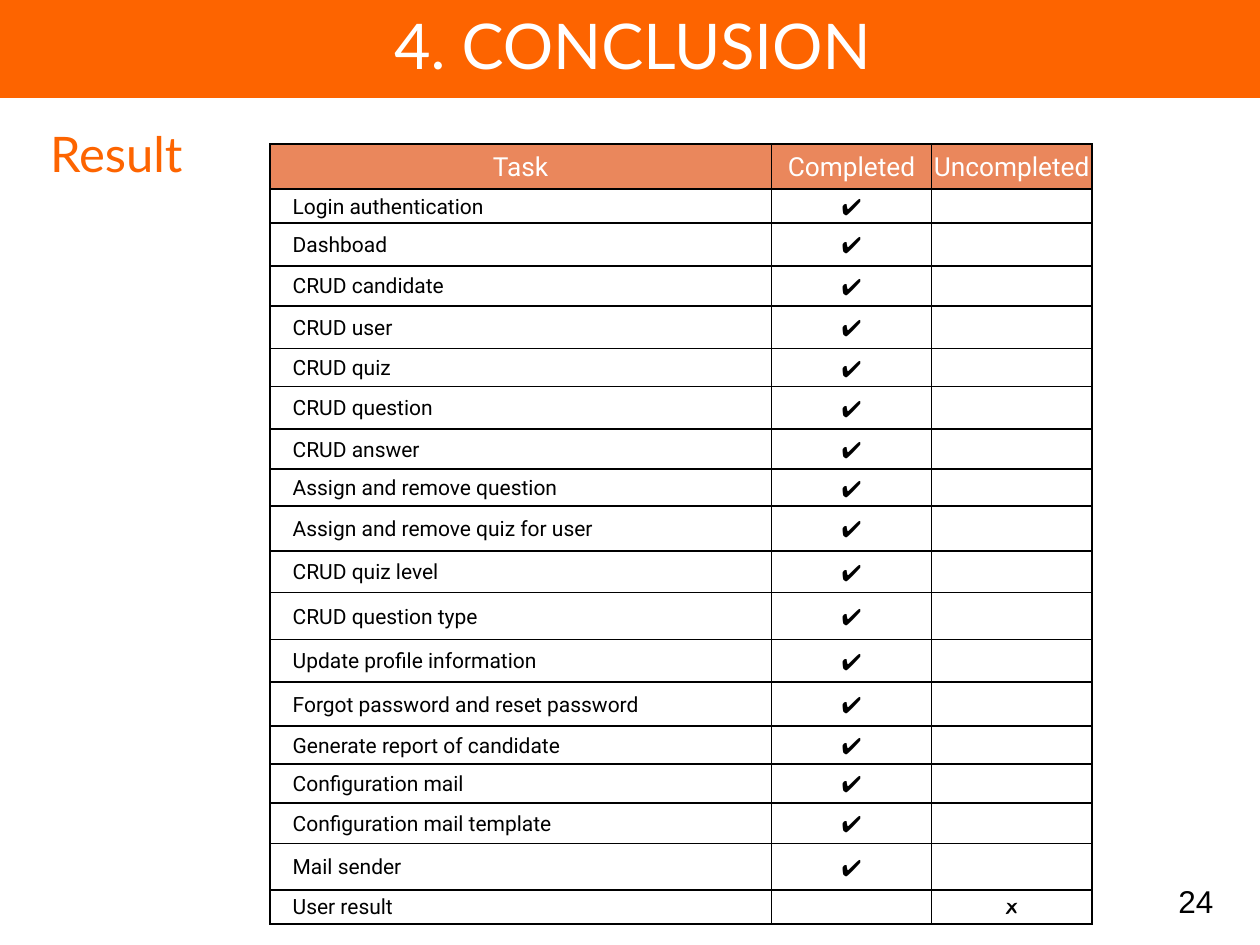
from dataclasses import dataclass

from lxml.etree import SubElement
from pptx import Presentation
from pptx.dml.color import RGBColor
from pptx.enum.shapes import MSO_SHAPE
from pptx.enum.text import MSO_ANCHOR, MSO_AUTO_SIZE, PP_ALIGN
from pptx.oxml import parse_xml
from pptx.oxml.ns import nsdecls, qn
from pptx.util import Cm, Pt


@dataclass(frozen=True)
class Theme:
    orange: str = "FD6400"
    salmon: str = "EA875C"
    white: str = "FFFFFF"
    black: str = "000000"
    head: str = "Lato"
    body: str = "Roboto"
    mark: str = "Noto Sans"
    number: str = "Arial"
    title_size: int = 36
    section_size: int = 28
    number_size: int = 18
    header_size: int = 15
    task_size: int = 12
    mark_size: int = 13


YES, NO = "✔", "🗶"
HEADER = ("Task", "Completed", "Uncompleted")
COLS = (10.11, 3.23, 3.23)
HEADER_HEIGHT = 0.91
# Task, row height in cm
TASKS = (
    ("Login authentication", 0.69),
    ("Dashboad", 0.86),
    ("CRUD candidate", 0.81),
    ("CRUD user", 0.86),
    ("CRUD quiz", 0.76),
    ("CRUD question", 0.86),
    ("CRUD answer", 0.81),
    ("Assign and remove question", 0.74),
    ("Assign and remove quiz for user", 0.91),
    ("CRUD quiz level", 0.84),
    ("CRUD question type", 0.94),
    ("Update profile information", 0.86),
    ("Forgot password and reset password", 0.89),
    ("Generate report of candidate", 0.76),
    ("Configuration mail", 0.79),
    ("Configuration mail template", 0.81),
    ("Mail sender", 0.94),
    ("User result", 0.69),
)
OPEN_TASKS = {"User result"}


def write(frame, text, font, size, color, align=PP_ALIGN.LEFT, spacing=None):
    """Fill a text frame; an empty text still fixes the line height."""
    para = frame.paragraphs[0]
    para.alignment = align
    if spacing:
        para.line_spacing = spacing
    if not text:
        SubElement(para._p, qn("a:endParaRPr"), sz=str(size * 100))
        return
    run = para.add_run()
    run.text = text
    run.font.name = font
    run.font.size = Pt(size)
    run.font.color.rgb = RGBColor.from_string(color)


def paint(fill, color):
    fill.solid()
    fill.fore_color.rgb = RGBColor.from_string(color)


def border(cell, color):
    """Draw a 1 pt line on all four sides, ahead of the fill in the XML."""
    props = cell._tc.get_or_add_tcPr()
    for spot, side in enumerate(("lnL", "lnR", "lnT", "lnB")):
        props.insert(spot, parse_xml(
            f'<a:{side} {nsdecls("a")} w="12700"><a:solidFill>'
            f'<a:srgbClr val="{color}"/></a:solidFill></a:{side}>'))


class Deck:
    def __init__(self, theme):
        self.theme = theme
        self.file = Presentation()
        self.file.slide_width, self.file.slide_height = Cm(25.4), Cm(19.05)
        self.slide = self.file.slides.add_slide(self.file.slide_layouts[5])

    def band(self, box, color):
        shape = self.slide.shapes.add_shape(MSO_SHAPE.RECTANGLE, *map(Cm, box))
        shape.shadow.inherit = False
        paint(shape.fill, color)
        paint(shape.line.fill, color)
        shape.line.width = Pt(1)
        # Behind the title, after the two property elements of the tree
        self.slide.shapes._spTree.insert(2, shape._element)

    def title(self, text, box):
        shape = self.slide.shapes.title
        shape.left, shape.top, shape.width, shape.height = map(Cm, box)
        frame = shape.text_frame
        frame.auto_size = MSO_AUTO_SIZE.NONE
        frame.vertical_anchor = MSO_ANCHOR.MIDDLE
        write(frame, text, self.theme.head, self.theme.title_size,
              self.theme.white, align=PP_ALIGN.CENTER, spacing=0.9)

    def label(self, text, box, anchor=MSO_ANCHOR.TOP, **style):
        frame = self.slide.shapes.add_textbox(*map(Cm, box)).text_frame
        frame.word_wrap = True
        frame.vertical_anchor = anchor
        write(frame, text, **style)

    def cell(self, cell, text, fill, indent=0.03, **style):
        cell.margin_left = Cm(indent)
        cell.margin_right = cell.margin_top = Cm(0.03)
        cell.margin_bottom = 0
        cell.vertical_anchor = MSO_ANCHOR.MIDDLE
        paint(cell.fill, fill)
        border(cell, self.theme.black)
        write(cell.text_frame, text, **style)

    def table(self, left, top):
        look = self.theme
        heights = (HEADER_HEIGHT, *(height for _, height in TASKS))
        grid = self.slide.shapes.add_table(
            len(heights), len(COLS), Cm(left), Cm(top),
            Cm(sum(COLS)), Cm(sum(heights))).table
        grid.horz_banding = False
        for col, width in zip(grid.columns, COLS):
            col.width = Cm(width)
        for row, height in zip(grid.rows, heights):
            row.height = Cm(height)

        head = dict(fill=look.salmon, font=look.body, size=look.header_size,
                    color=look.white, align=PP_ALIGN.CENTER)
        name = dict(fill=look.white, font=look.body, size=look.task_size,
                    color=look.black, indent=0.46)
        mark = dict(fill=look.white, font=look.mark, size=look.mark_size,
                    color=look.black, align=PP_ALIGN.CENTER)
        for col, text in enumerate(HEADER):
            self.cell(grid.cell(0, col), text, **head)
        for row, (task, _) in enumerate(TASKS, 1):
            left_open = task in OPEN_TASKS
            self.cell(grid.cell(row, 0), task, **name)
            self.cell(grid.cell(row, 1), "" if left_open else YES, **mark)
            self.cell(grid.cell(row, 2), NO if left_open else "", **mark)


def main():
    look = Theme()
    deck = Deck(look)
    deck.band((0, -0.03, 25.4, 1.98), look.orange)
    deck.title("4. CONCLUSION", (0.76, 0, 23.98, 1.96))
    deck.label("Result", (0.76, 2.49, 8.23, 1.3), font=look.head,
               size=look.section_size, color=look.orange, spacing=0.9)
    deck.label("24", (17.93, 17.65, 6.78, 1.02), anchor=MSO_ANCHOR.MIDDLE,
               font=look.number, size=look.number_size, color=look.black,
               align=PP_ALIGN.RIGHT)
    deck.table(5.44, 2.9)
    deck.file.save("out.pptx")


if __name__ == "__main__":
    main()
